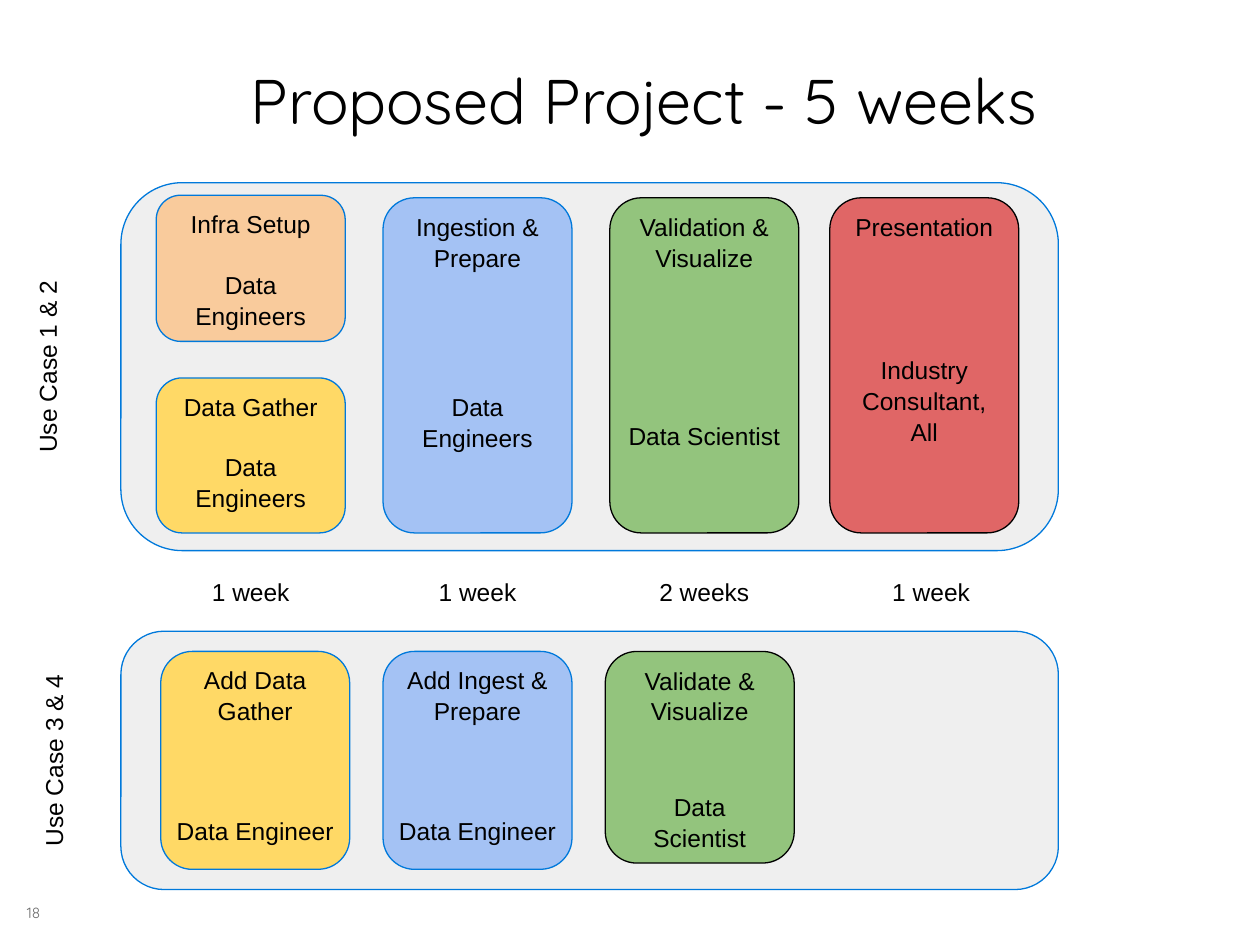
from pptx import Presentation
from pptx.dml.color import RGBColor
from pptx.enum.shapes import MSO_SHAPE as Shape
from pptx.enum.text import MSO_ANCHOR as Anchor, MSO_AUTO_SIZE as AutoSize, PP_ALIGN as Align
from pptx.util import Inches, Pt

FIRST_COLUMN, COLUMN_PITCH, CARD_WIDTH = 1.24, 1.8, 1.5
CORNER, INSET = 0.167, 0.1
LINE_POINTS = 16.9
BLUE, BLACK, GREY = "0079DB", "000000", "EFEFEF"
ORANGE, YELLOW, SKY, GREEN, RED = "F9CB9C", "FFD966", "A4C2F4", "93C47D", "E06666"

# Label, role, column, top, height, fill, line, blank lines between, side inset
FIRST_PHASE = [
    ("Infra Setup", "Data Engineers", 0, 1.55, 1.16, ORANGE, BLUE, 1, INSET),
    ("Data Gather", "Data Engineers", 0, 3, 1.23, YELLOW, BLUE, 1, 0.04),
    ("Ingestion & Prepare", "Data Engineers", 1, 1.57, 2.66, SKY, BLUE, 4, 0.03),
    ("Validation & Visualize", "Data Scientist", 2, 1.57, 2.66, GREEN, BLACK, 5, 0.03),
    ("Presentation", "Industry Consultant, All", 2.97, 1.57, 2.66, RED, BLACK, 3.8, INSET),
]
SECOND_PHASE = [
    ("Add Data Gather", "Data Engineer", 0.02, 5.17, 1.73, YELLOW, BLUE, 3, 0.03),
    ("Add Ingest & Prepare", "Data Engineer", 1, 5.17, 1.73, SKY, BLUE, 3, 0.03),
    ("Validate & Visualize", "Data Scientist", 1.98, 5.17, 1.68, GREEN, BLACK, 2.2, INSET),
]
DURATIONS = ["1 week", "1 week", "2 weeks", "1 week"]


def color(value):
    """Turn a hex string into a colour."""
    return RGBColor.from_string(value)


def column_left(column):
    """Return the left edge of a grid column in inches."""
    return FIRST_COLUMN + column * COLUMN_PITCH


def write_text(shape, *lines, size=14, font="Arial", fill=BLACK, align=Align.CENTER,
               anchor=Anchor.TOP, spacing=1.05, gap=0, insets=(INSET,) * 4):
    """Write one paragraph per line, with a gap in points between them."""
    frame = shape.text_frame
    frame.word_wrap, frame.auto_size, frame.vertical_anchor = True, AutoSize.NONE, anchor
    (frame.margin_left, frame.margin_top,
     frame.margin_right, frame.margin_bottom) = map(Inches, insets)
    for index, line in enumerate(lines):
        paragraph = frame.add_paragraph() if index else frame.paragraphs[0]
        paragraph.alignment, paragraph.line_spacing = align, spacing
        paragraph.space_before = Pt(gap if index else 0)
        run = paragraph.add_run()
        run.text = line
        run.font.size, run.font.name = Pt(size), font
        run.font.color.rgb = color(fill)


def add_label(slide, text, left, top, width, height, rotation=0, **text_format):
    """Add a text box, turned if asked."""
    shape = slide.shapes.add_textbox(*map(Inches, (left, top, width, height)))
    shape.rotation = rotation
    write_text(shape, text, **text_format)


def add_box(slide, left, top, width, height, fill, line):
    """Add a rounded rectangle without shadow."""
    shape = slide.shapes.add_shape(
        Shape.ROUNDED_RECTANGLE, *map(Inches, (left, top, width, height)))
    shape.adjustments[0] = CORNER
    shape.shadow.inherit = False
    shape.fill.solid()
    shape.fill.fore_color.rgb = color(fill)
    shape.line.color.rgb = color(line)
    shape.line.width = Pt(0.75)
    return shape


def add_card(slide, label, role, column, top, height, fill, line, blanks, side):
    """Add a task card with its label above the role in charge."""
    card = add_box(slide, column_left(column), top, CARD_WIDTH, height, fill, line)
    corner_inset = 0.29 * CORNER * min(CARD_WIDTH, height)
    write_text(card, label, role, gap=blanks * LINE_POINTS,
               insets=(side, INSET - corner_inset, side, 0))


def add_phase(slide, name, top, height, label_left, cards):
    """Add a panel with its turned name and its cards."""
    add_box(slide, 0.96, top, 7.44, height, GREY, BLUE)
    label_top = top + height / 2 - 0.21
    add_label(slide, name, label_left, label_top, 2.31, 0.42, rotation=270)
    for card in cards:
        add_card(slide, *card)


def add_title(slide, text):
    """Place and fill the title placeholder."""
    title = slide.shapes.title
    title.left, title.top, title.width, title.height = map(Inches, (1.89, 0.43, 7.59, 0.77))
    write_text(title, text, size=36, font="Quicksand", align=Align.LEFT,
               anchor=Anchor.BOTTOM, spacing=0.95)


def main():
    """Build the project plan slide."""
    presentation = Presentation()
    presentation.slide_width, presentation.slide_height = Inches(10), Inches(7.5)
    slide = presentation.slides.add_slide(presentation.slide_layouts[5])
    add_title(slide, "Proposed Project - 5 weeks")
    add_phase(slide, "Use Case 1 & 2", 1.45, 2.92, -0.8, FIRST_PHASE)
    for column, duration in enumerate(DURATIONS):
        add_label(slide, duration, column_left(column), 4.47, CARD_WIDTH, 0.43)
    add_phase(slide, "Use Case 3 & 4", 5.01, 2.05, -0.75, SECOND_PHASE)
    add_label(slide, "18", 0.17, 7.17, 0.15, 0.14, size=8.5, font="Quicksand",
              fill="6C6C6C", align=Align.RIGHT, spacing=1, insets=(0,) * 4)
    presentation.save("out.pptx")


if __name__ == "__main__":
    main()
